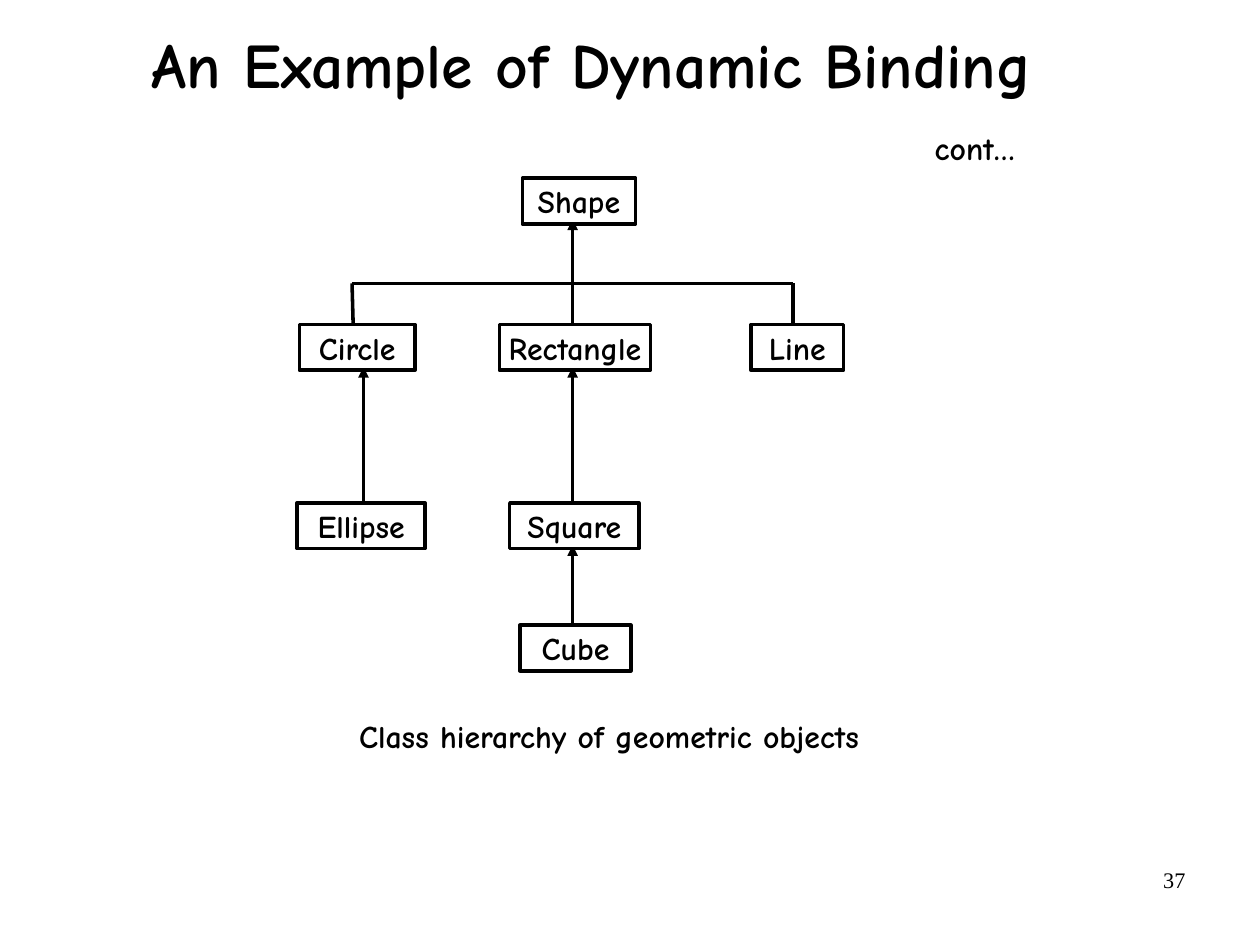
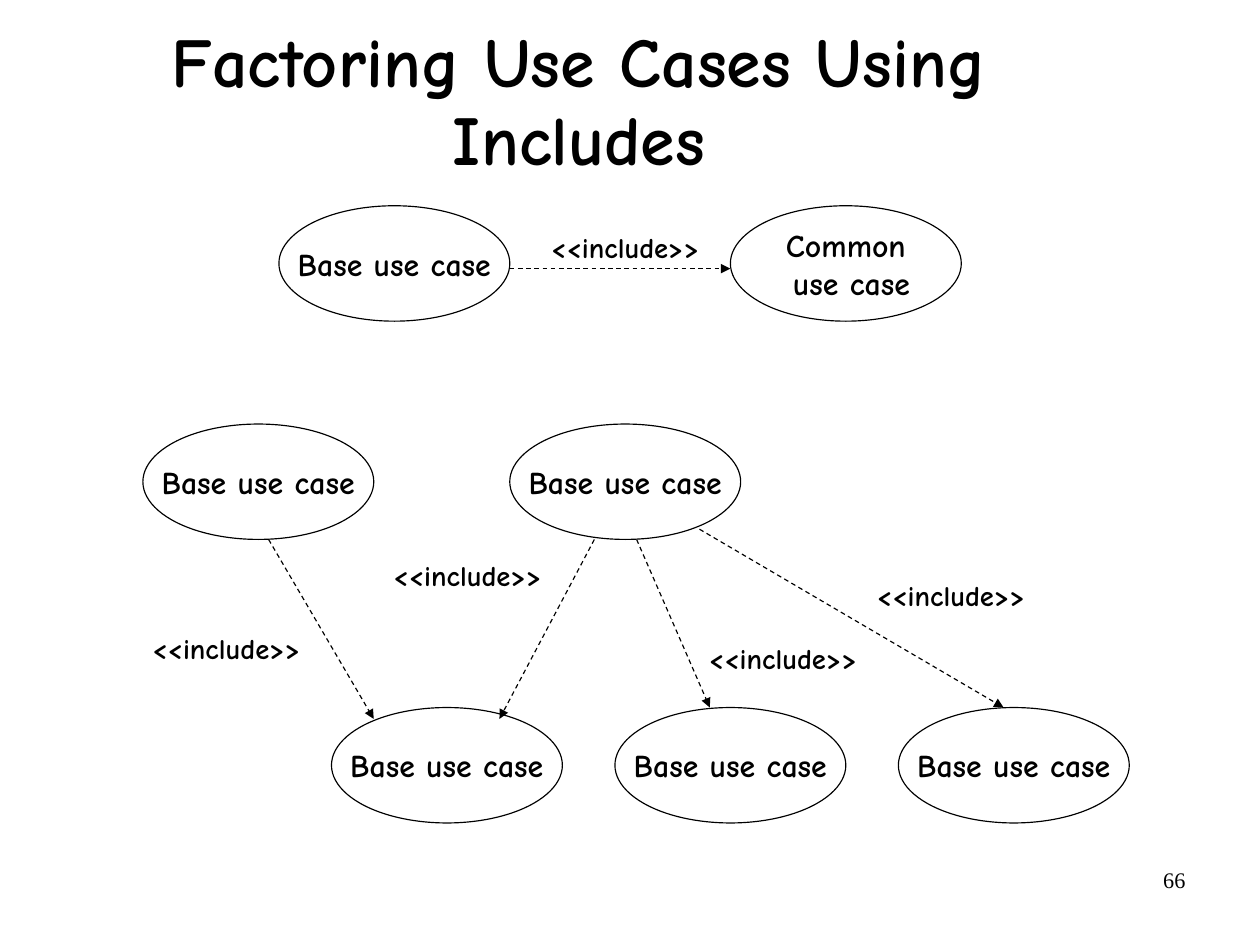
from dataclasses import dataclass
from typing import Optional

import pptx
import pptx.dml.color
import pptx.enum.dml
import pptx.enum.shapes
import pptx.enum.text
import pptx.oxml
import pptx.oxml.ns
import pptx.presentation
import pptx.shapes.base
import pptx.slide
import pptx.util

Inches = pptx.util.Inches
ALIGN = pptx.enum.text.PP_ALIGN
ANCHOR = pptx.enum.text.MSO_ANCHOR
SHAPE = pptx.enum.shapes.MSO_SHAPE


@dataclass(frozen=True)
class Theme:
    ink: str = "000000"
    paper: str = "FFFFFF"
    font: str = "Comic Neue"
    number_font: str = "Times New Roman"
    title_size: float = 40
    large_title_size: float = 44
    body_size: float = 20
    label_size: float = 18
    number_size: float = 14
    title_spacing: float = 0.94
    thick: float = 2.25
    thin: float = 0.75


THEME = Theme()


@dataclass(frozen=True)
class TextStyle:
    size: float
    font: str = THEME.font
    bold: bool = True
    align: ALIGN = ALIGN.CENTER
    anchor: ANCHOR = ANCHOR.MIDDLE
    wrap: bool = False
    inset_x: float = 0
    inset_y: float = 0
    spacing: Optional[float] = None


BOX_STYLE = TextStyle(THEME.body_size)
CASE_STYLE = TextStyle(THEME.body_size, inset_x=0.11, inset_y=0.06)
CONT_STYLE = TextStyle(THEME.body_size, align=ALIGN.RIGHT, wrap=True)
LABEL_STYLE = TextStyle(THEME.label_size, align=ALIGN.LEFT, anchor=ANCHOR.TOP,
                        inset_x=0.11, inset_y=0.06)
NUMBER_STYLE = TextStyle(THEME.number_size, font=THEME.number_font, bold=False,
                         align=ALIGN.RIGHT, anchor=ANCHOR.TOP, wrap=True,
                         inset_x=0.1, inset_y=0.05)


@dataclass(frozen=True)
class Area:
    left: float
    top: float
    width: float
    height: float

    def lengths(self) -> tuple:
        return tuple(Inches(value) for value in
                     (self.left, self.top, self.width, self.height))


@dataclass(frozen=True)
class ClassBox:
    name: str
    left: float
    top: float
    width: float
    filled: bool = True


@dataclass(frozen=True)
class UseCase:
    left: float
    top: float
    text: str = "Base use case"


@dataclass(frozen=True)
class Link:
    x1: float
    y1: float
    x2: float
    y2: float
    arrow: bool = True


CM_PER_INCH = 2.54
LEVELS = (1.56, 2.84, 4.4, 5.47)
BOX_HEIGHT = 0.4
BAR_TOP = 2.48
TRUNK = 5.01
CLASS_BOXES = (
    ClassBox("Ellipse", 2.6, LEVELS[2], 1.12, False),
    ClassBox("Line", 6.57, LEVELS[1], 0.81, False),
    ClassBox("Shape", 4.57, LEVELS[0], 0.99),
    ClassBox("Circle", 2.62, LEVELS[1], 1.01),
    ClassBox("Rectangle", 4.37, LEVELS[1], 1.32),
    ClassBox("Cube", 4.55, LEVELS[3], 0.97),
    ClassBox("Square", 4.46, LEVELS[2], 1.13),
)
CLASS_LINKS = (
    Link(3.08, BAR_TOP, 6.94, BAR_TOP, False),
    Link(3.08, BAR_TOP, 3.09, LEVELS[1], False),
    Link(6.94, BAR_TOP, 6.94, LEVELS[1], False),
    Link(TRUNK, 5.51, TRUNK, 4.77),
    Link(TRUNK, 4.41, TRUNK, 3.21),
    Link(3.18, 4.41, 3.18, 3.21),
    Link(TRUNK, LEVELS[1], TRUNK, 1.92),
)

CASE_WIDTH, CASE_HEIGHT = 2.02, 1.01
CASE_ROWS = (1.8, 3.71, 6.19)
USE_CASES = (
    UseCase(2.44, CASE_ROWS[0]),
    UseCase(6.39, CASE_ROWS[0], "Common\n use case"),
    UseCase(1.25, CASE_ROWS[1]),
    UseCase(4.46, CASE_ROWS[1]),
    *(UseCase(2.9 + 2.48 * column, CASE_ROWS[2]) for column in range(3)),
)
INCLUDE_LINKS = (
    Link(4.46, 2.35, 6.39, 2.35),
    Link(2.35, 4.72, 3.27, 6.29),
    Link(5.2, 4.72, 4.37, 6.29),
    Link(5.57, 4.72, 6.21, 6.19),
    Link(6.12, 4.63, 8.78, 6.19),
)
INCLUDE_LABELS = ((4.71, 1.95), (1.22, 5.46), (3.33, 4.82), (6.09, 5.55), (7.56, 5))


def color(value: str) -> pptx.dml.color.RGBColor:
    return pptx.dml.color.RGBColor.from_string(value)


def write_text(shape: pptx.shapes.base.BaseShape, text: str, style: TextStyle) -> None:
    frame = shape.text_frame
    frame.word_wrap = style.wrap
    frame.vertical_anchor = style.anchor
    frame.margin_left = frame.margin_right = Inches(style.inset_x)
    frame.margin_top = frame.margin_bottom = Inches(style.inset_y)
    for index, line in enumerate(text.split("\n")):
        paragraph = frame.add_paragraph() if index else frame.paragraphs[0]
        paragraph.alignment = style.align
        if style.spacing:
            paragraph.line_spacing = style.spacing
        run = paragraph.add_run()
        run.text = line
        run.font.name = style.font
        run.font.size = pptx.util.Pt(style.size)
        run.font.bold = style.bold
        run.font.color.rgb = color(THEME.ink)


def add_text(slide: pptx.slide.Slide, area: Area, text: str, style: TextStyle) -> None:
    write_text(slide.shapes.add_textbox(*area.lengths()), text, style)


def add_node(slide: pptx.slide.Slide, kind: SHAPE, area: Area, text: str,
             style: TextStyle, weight: float, filled: bool) -> None:
    shape = slide.shapes.add_shape(kind, *area.lengths())
    shape.shadow.inherit = False
    if filled:
        shape.fill.solid()
        shape.fill.fore_color.rgb = color(THEME.paper)
    else:
        shape.fill.background()
    shape.line.color.rgb = color(THEME.ink)
    shape.line.width = pptx.util.Pt(weight)
    write_text(shape, text, style)


def add_link(slide: pptx.slide.Slide, link: Link, weight: float, dashed: bool) -> None:
    connector = slide.shapes.add_connector(
        pptx.enum.shapes.MSO_CONNECTOR.STRAIGHT,
        Inches(link.x1), Inches(link.y1), Inches(link.x2), Inches(link.y2))
    connector.line.color.rgb = color(THEME.ink)
    connector.line.width = pptx.util.Pt(weight)
    if dashed:
        connector.line.dash_style = pptx.enum.dml.MSO_LINE.DASH
    properties = connector.element.spPr
    if link.arrow:
        tail = pptx.oxml.parse_xml(
            f'<a:tailEnd {pptx.oxml.ns.nsdecls("a")} type="triangle"/>')
        properties.find(pptx.oxml.ns.qn("a:ln")).append(tail)
    properties.append(pptx.oxml.parse_xml(
        f'<a:effectLst {pptx.oxml.ns.nsdecls("a")}/>'))


def add_slide(presentation: pptx.presentation.Presentation, title: str, title_size: float,
              title_height: float, number: str) -> pptx.slide.Slide:
    slide = presentation.slides.add_slide(presentation.slide_layouts[6])
    slide.background.fill.solid()
    slide.background.fill.fore_color.rgb = color(THEME.paper)
    add_text(slide, Area(7.9, 7.53, 2.57, 0.57), number, NUMBER_STYLE)
    style = TextStyle(title_size, wrap=True, inset_x=0.02, inset_y=0.06,
                      spacing=THEME.title_spacing)
    add_text(slide, Area(0.49, 0, 9.37, title_height), title, style)
    return slide


def build_hierarchy(presentation: pptx.presentation.Presentation) -> None:
    slide = add_slide(presentation, "An Example of Dynamic Binding",
                      THEME.title_size, 1.18, "37")
    add_text(slide, Area(7.38, 1.09, 1.5, BOX_HEIGHT), "cont…", CONT_STYLE)
    for link in CLASS_LINKS:
        add_link(slide, link, THEME.thick, dashed=False)
    for box in CLASS_BOXES:
        area = Area(box.left, box.top, box.width, BOX_HEIGHT)
        add_node(slide, SHAPE.RECTANGLE, area, box.name, BOX_STYLE,
                 THEME.thick, box.filled)
    add_text(slide, Area(3.08, 6.24, 4.5, BOX_HEIGHT),
             "Class hierarchy of geometric objects", BOX_STYLE)


def build_use_cases(presentation: pptx.presentation.Presentation) -> None:
    slide = add_slide(presentation, "Factoring Use Cases Using \nIncludes ",
                      THEME.large_title_size, 1.8, "66")
    for case in USE_CASES:
        area = Area(case.left, case.top, CASE_WIDTH, CASE_HEIGHT)
        add_node(slide, SHAPE.OVAL, area, case.text, CASE_STYLE, THEME.thin, False)
    for link in INCLUDE_LINKS:
        add_link(slide, link, THEME.thin, dashed=True)
    for left, top in INCLUDE_LABELS:
        add_text(slide, Area(left, top, 1.52, 0.41), "<<include>>", LABEL_STYLE)


def main() -> None:
    presentation = pptx.Presentation()
    presentation.slide_width = Inches(28 / CM_PER_INCH)
    presentation.slide_height = Inches(21 / CM_PER_INCH)
    build_hierarchy(presentation)
    build_use_cases(presentation)
    presentation.save("out.pptx")


if __name__ == "__main__":
    main()
